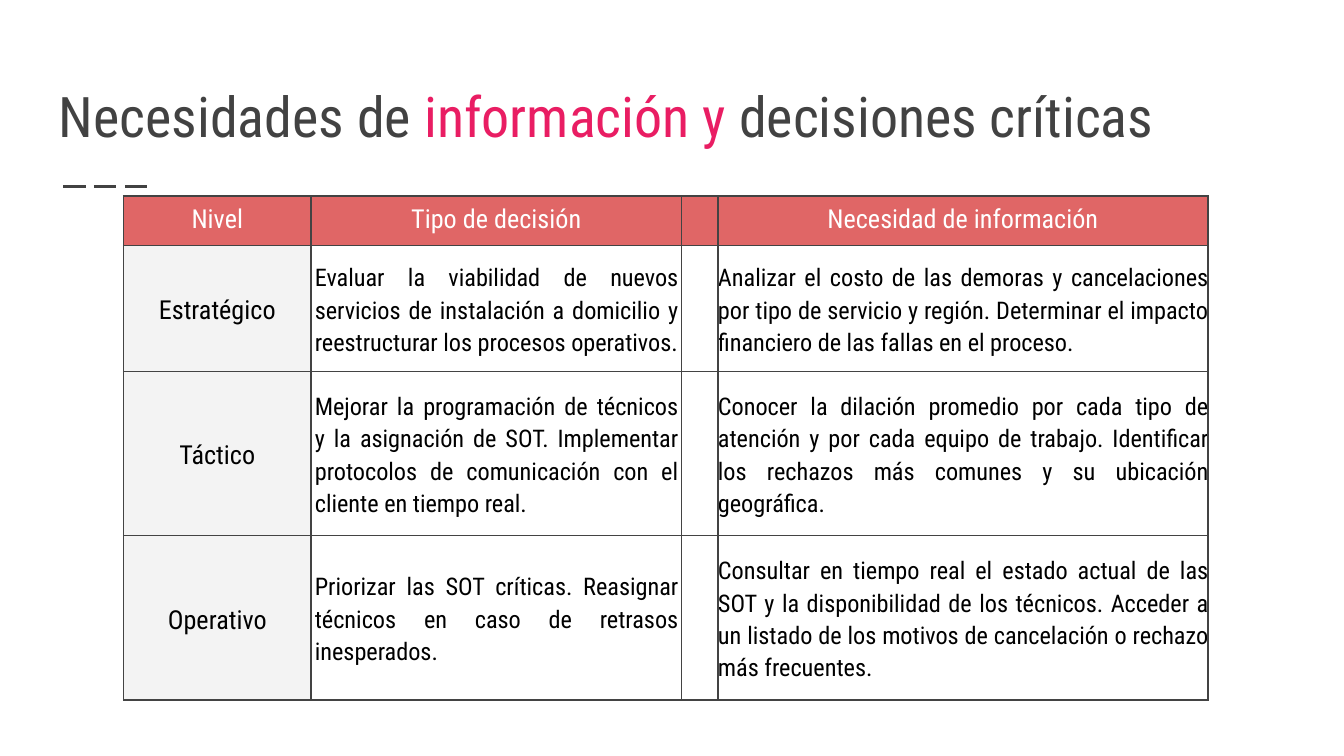
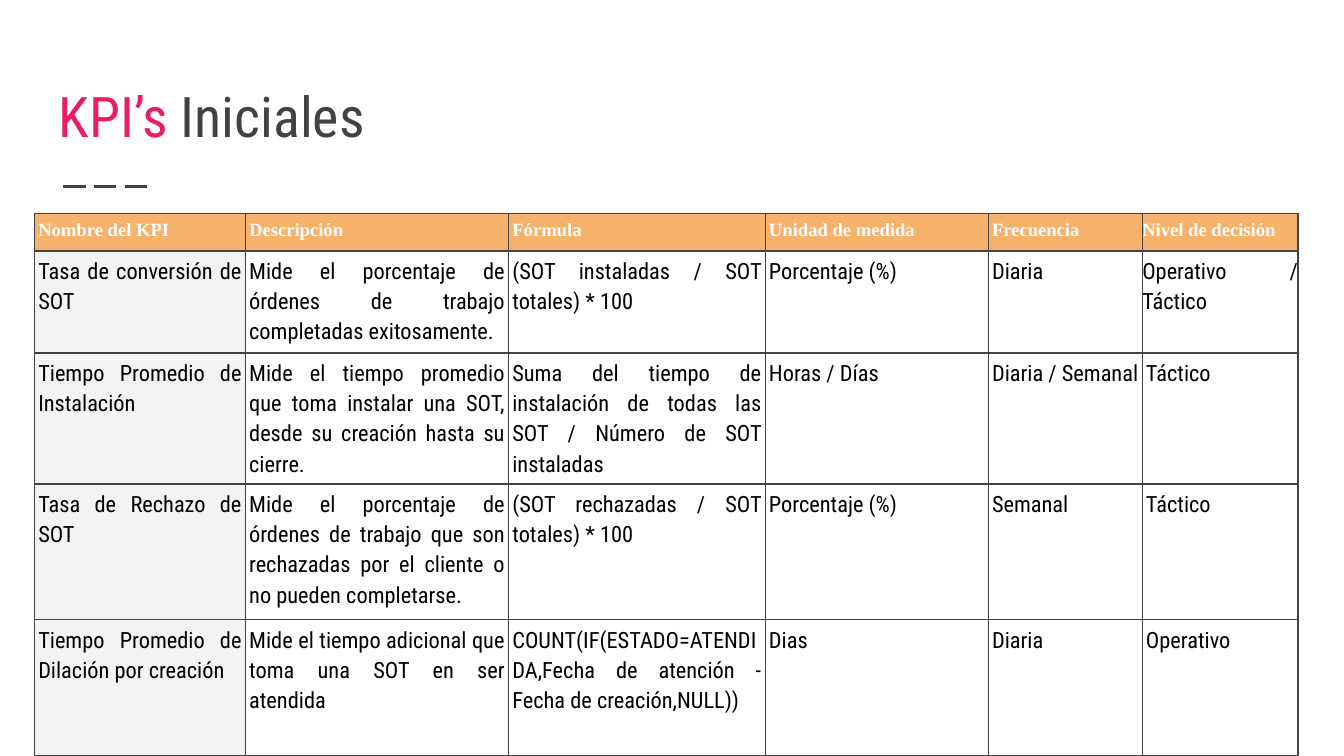
"""Build two slides on information needs and initial KPIs."""
import dataclasses
import pptx
import pptx.dml.color
import pptx.enum.dml
import pptx.enum.shapes
import pptx.enum.text
import pptx.oxml
import pptx.oxml.ns
import pptx.util

Pt = pptx.util.Pt
PP = pptx.enum.text.PP_ALIGN
ANCHOR = pptx.enum.text.MSO_ANCHOR


@dataclasses.dataclass(frozen=True)
class Theme:
    ink: str = "424242"
    accent: str = "E91D63"
    border: str = "434343"
    label: str = "F3F3F3"
    white: str = "FFFFFF"
    black: str = "000000"
    coral: str = "E06666"
    orange: str = "F6B26B"
    font: str = "Roboto Condensed"
    serif: str = "Times New Roman"
    title: float = 30
    level: float = 14
    body: float = 13
    kpi: float = 12
    kpi_head: float = 10
    rule: float = 0.83
    thin_rule: float = 0.75


T = Theme()


def write(tf, text, size, color, font=T.font, bold=False, align=PP.LEFT, spacing=None):
    p = tf.paragraphs[0]
    p.alignment = align
    p.line_spacing = spacing
    r = p.add_run()
    r.text = text
    r.font.name = font
    r.font.size = Pt(size)
    r.font.bold = bold
    r.font.color.rgb = pptx.dml.color.RGBColor.from_string(color)


def set_borders(cell, widths):
    tc_pr = cell._tc.get_or_add_tcPr()
    for i, (side, width) in enumerate(zip("LRTB", widths)):
        tc_pr.insert(i, pptx.oxml.parse_xml(
            f'<a:ln{side} {pptx.oxml.ns.nsdecls("a")} w="{int(Pt(width))}">'
            f'<a:solidFill><a:srgbClr val="{T.border}"/></a:solidFill>'
            f'<a:prstDash val="solid"/></a:ln{side}>'))


decisions = dict(
    title=[("Necesidades de ", T.ink), ("información y ", T.accent), ("decisiones críticas", T.ink)],
    left=66.2, top=105,
    cols=[100.5, 198.5, 19.5, 262.5],
    rows=[26.6, 67.5, 88, 88],
    head_fill=T.coral,
    head=dict(size=T.level, color=T.white, align=PP.CENTER),
    label=dict(size=T.level, color=T.black, align=PP.CENTER),
    body=dict(size=T.body, color=T.black, align=PP.JUSTIFY),
    anchor=ANCHOR.MIDDLE, flush_rows=4, thin_edge=3,
    data=[
        ["Nivel", "Tipo de decisión", "", "Necesidad de información"],
        ["Estratégico",
         "Evaluar la viabilidad de nuevos servicios de instalación a domicilio y "
         "reestructurar los procesos operativos.", "",
         "Analizar el costo de las demoras y cancelaciones por tipo de servicio y región. "
         "Determinar el impacto financiero de las fallas en el proceso."],
        ["Táctico",
         "Mejorar la programación de técnicos y la asignación de SOT. Implementar "
         "protocolos de comunicación con el cliente en tiempo real.", "",
         "Conocer la dilación promedio por cada tipo de atención y por cada equipo de trabajo. "
         "Identificar los rechazos más comunes y su ubicación geográfica."],
        ["Operativo",
         "Priorizar las SOT críticas. Reasignar técnicos en caso de retrasos inesperados.", "",
         "Consultar en tiempo real el estado actual de las SOT y la disponibilidad de los técnicos. "
         "Acceder a un listado de los motivos de cancelación o rechazo más frecuentes."],
    ])

kpi_text = dict(size=T.kpi, color=T.black, align=PP.JUSTIFY)
kpis = dict(
    title=[("KPI’s", T.accent), (" Iniciales", T.ink)],
    left=18.5, top=114.3,
    cols=[113, 141, 137.5, 119.5, 82.5, 83.5],
    rows=[20.2, 54.7, 63.4, 72.7, 72.7],
    head_fill=T.orange,
    head=dict(size=T.kpi_head, color=T.white, font=T.serif, bold=True, align=PP.JUSTIFY),
    label=kpi_text, body=kpi_text,
    anchor=ANCHOR.TOP, flush_rows=2, thin_edge=None,
    data=[
        ["Nombre del KPI", "Descripción", "Fórmula", "Unidad de medida", "Frecuencia",
         "Nivel de decisión"],
        ["Tasa de conversión de SOT",
         "Mide el porcentaje de órdenes de trabajo completadas exitosamente.",
         "(SOT instaladas / SOT totales) * 100", "Porcentaje (%)", "Diaria",
         "Operativo / Táctico"],
        ["Tiempo Promedio de Instalación",
         "Mide el tiempo promedio que toma instalar una SOT, desde su creación hasta su cierre.",
         "Suma del tiempo de instalación de todas las SOT / Número de SOT instaladas",
         "Horas / Días", "Diaria / Semanal", "Táctico"],
        ["Tasa de Rechazo de SOT",
         "Mide el porcentaje de órdenes de trabajo que son rechazadas por el cliente "
         "o no pueden completarse.",
         "(SOT rechazadas / SOT totales) * 100", "Porcentaje (%)", "Semanal", "Táctico"],
        ["Tiempo Promedio de Dilación por creación",
         "Mide el tiempo adicional que toma una SOT en ser atendida",
         "COUNT(IF(ESTADO=ATENDIDA,Fecha de atención - Fecha de creación,NULL))",
         "Dias", "Diaria", "Operativo"],
    ])

prs = pptx.Presentation()
prs.slide_width, prs.slide_height = Pt(720), Pt(405)

for content in (decisions, kpis):
    s = prs.slides.add_slide(prs.slide_layouts[6])

    dashes = s.shapes.add_connector(
        pptx.enum.shapes.MSO_CONNECTOR.STRAIGHT, Pt(33.8), Pt(100.1), Pt(82.1), Pt(100.1))
    dashes.line.color.rgb = pptx.dml.color.RGBColor.from_string(T.ink)
    dashes.line.width = Pt(1.5)
    dashes.line.dash_style = pptx.enum.dml.MSO_LINE.LONG_DASH
    dashes._element.spPr.append(pptx.oxml.parse_xml(
        f'<a:effectLst {pptx.oxml.ns.nsdecls("a")}/>'))

    sp = s.shapes.add_textbox(Pt(24.5), Pt(29.5), Pt(671), Pt(57.6))
    tf = sp.text_frame
    tf.word_wrap = True
    tf.vertical_anchor = ANCHOR.BOTTOM
    tf.margin_left = tf.margin_right = tf.margin_top = tf.margin_bottom = Pt(7.2)
    for text, color in content["title"]:
        write(tf, text, size=T.title, color=color)

    cols, rows = content["cols"], content["rows"]
    table = s.shapes.add_table(
        len(rows), len(cols), Pt(content["left"]), Pt(content["top"]),
        Pt(sum(cols)), Pt(sum(rows))).table
    table.first_row = table.horz_banding = False
    for column, width in zip(table.columns, cols):
        column.width = Pt(width)
    for row, height in zip(table.rows, rows):
        row.height = Pt(height)

    for i, texts in enumerate(content["data"]):
        for j, text in enumerate(texts):
            cell = table.cell(i, j)
            flush = j == len(cols) - 1 and i < content["flush_rows"]
            cell.margin_left = cell.margin_right = Pt(0 if flush else 2)
            cell.margin_top = cell.margin_bottom = Pt(2)
            cell.vertical_anchor = content["anchor"] if i else ANCHOR.TOP
            fill = content["head_fill"] if i == 0 else T.label if j == 0 else None
            if fill:
                cell.fill.solid()
                cell.fill.fore_color.rgb = pptx.dml.color.RGBColor.from_string(fill)
            else:
                cell.fill.background()
            sides = [T.thin_rule if edge == content["thin_edge"] else T.rule
                     for edge in (j, j + 1)]
            set_borders(cell, sides + [T.rule, T.rule])
            if text:
                style = content["head" if i == 0 else "label" if j == 0 else "body"]
                write(cell.text_frame, text, spacing=1.15, **style)

prs.save("out.pptx")
